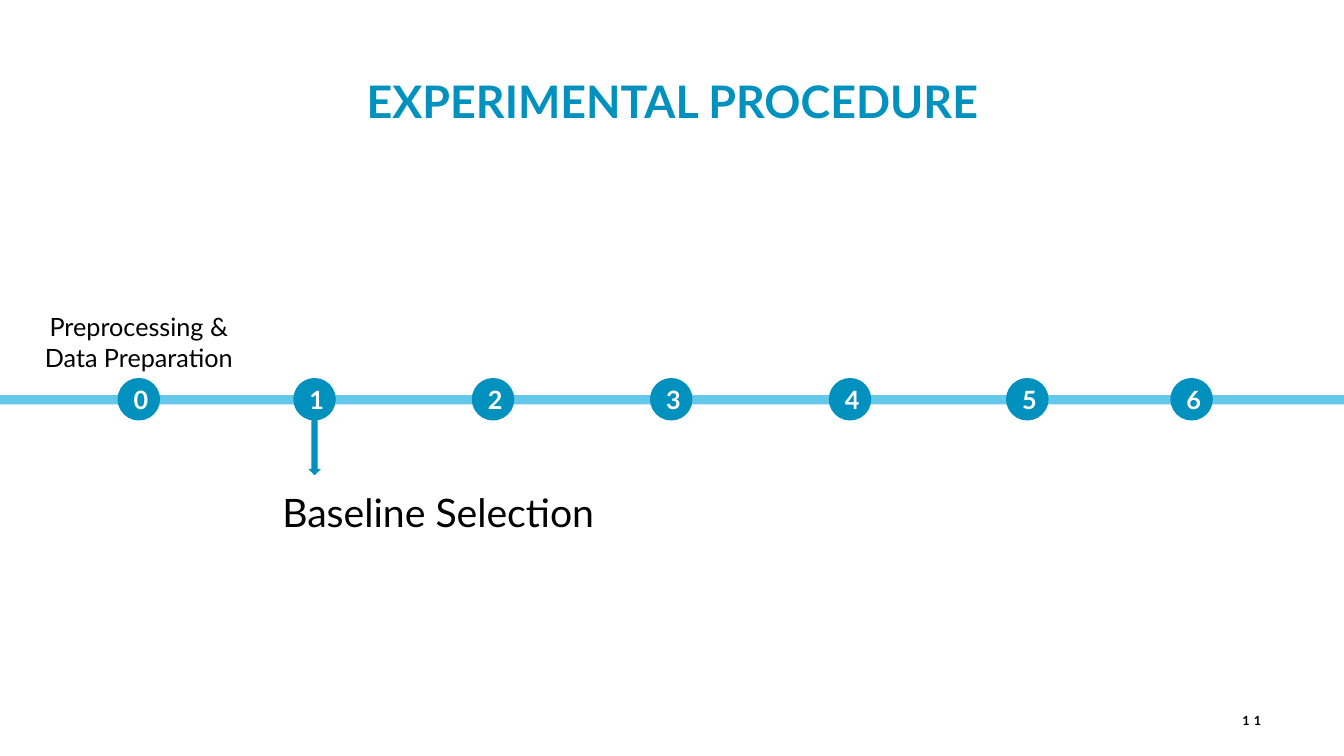
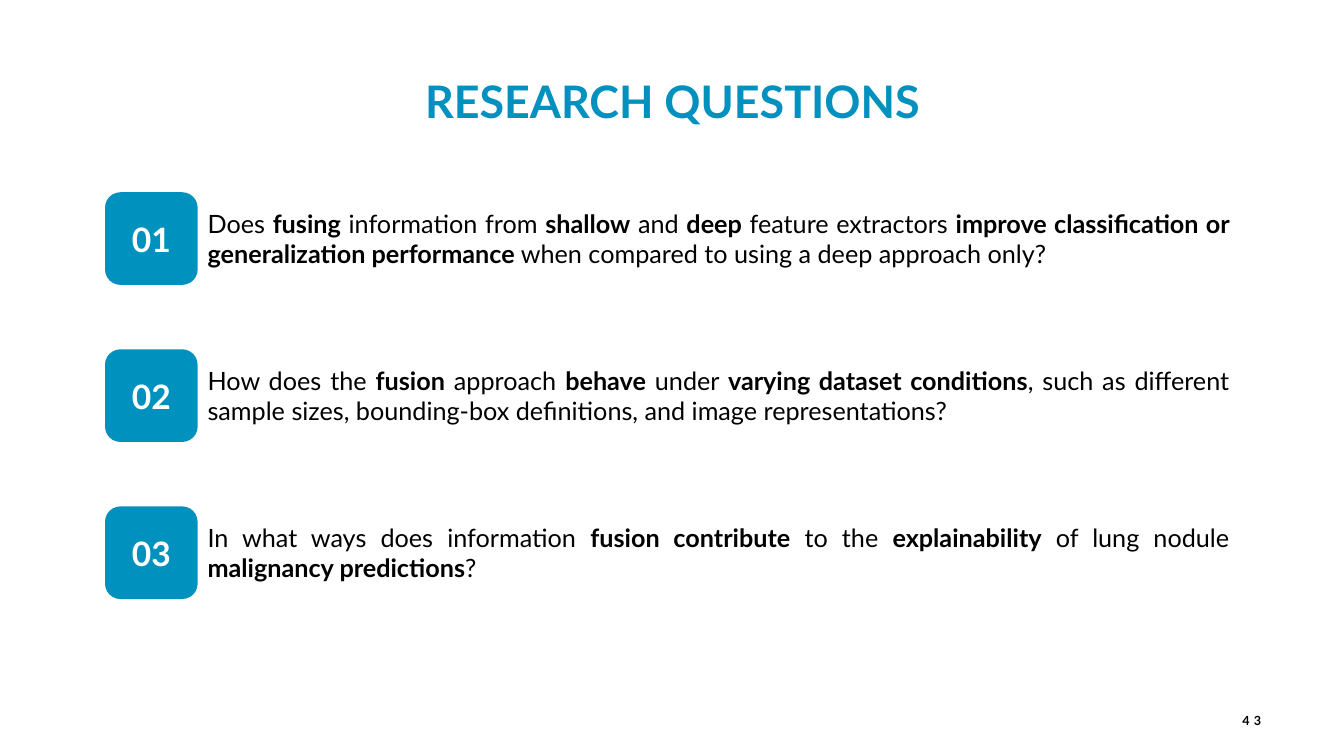
"""Build a timeline slide and a research-questions slide in one shared style."""
from dataclasses import dataclass

from pptx import Presentation
from pptx.dml.color import RGBColor
from pptx.enum.shapes import MSO_SHAPE
from pptx.enum.text import MSO_ANCHOR, MSO_AUTO_SIZE, PP_ALIGN
from pptx.presentation import Presentation as Deck
from pptx.shapes.autoshape import Shape
from pptx.slide import Slide
from pptx.util import Pt

COLORS = {"accent": "0091BE", "track": "64C8EB", "text": "000000", "on_accent": "FFFFFF"}
FONT = "Lato"
TITLE_ONLY = 5
EMPHASIS = "*"


@dataclass(frozen=True)
class Box:
    left: float
    top: float
    width: float
    height: float


@dataclass(frozen=True)
class TextStyle:
    size: float
    color: str = "text"
    bold: bool = False
    align: PP_ALIGN = PP_ALIGN.CENTER
    anchor: MSO_ANCHOR = MSO_ANCHOR.TOP
    spacing: int = 0


@dataclass(frozen=True)
class Label:
    text: str
    box: Box
    style: TextStyle


TITLE_BOX = Box(0, 49, 961, 46)
PAGE_BOX = Box(851, 500.4, 57, 28.8)
TITLE = TextStyle(32, "accent", True)
PAGE = TextStyle(9, bold=True, align=PP_ALIGN.RIGHT, anchor=MSO_ANCHOR.MIDDLE, spacing=300)
NODE = TextStyle(18, "on_accent", True, anchor=MSO_ANCHOR.MIDDLE)
TILE = TextStyle(24, "on_accent", True, anchor=MSO_ANCHOR.MIDDLE)
QUESTION = TextStyle(18, align=PP_ALIGN.JUSTIFY)

TRACK = Box(-3.5, 282.3, 967, 6.5)
NODE_SIZE = 30.4
NODE_TOP = 270
NODE_LEFTS = (84, 209.5, 337, 464.3, 592, 718.6, 836)
CURRENT_STEP = 1
ARROW_TOP, ARROW_WIDTH, ARROW_HEIGHT = 298, 9, 41.5
STAGES = (
    Label("Preprocessing & Data Preparation", Box(15.4, 219, 167.5, 51), TextStyle(18)),
    Label("Baseline Selection", Box(177, 345, 272, 41), TextStyle(28)),
)

TILE_LEFT, TILE_TOP, TILE_SIZE, TILE_STEP = 75, 137.3, 66.2, 112.2
QUESTION_WIDTH, QUESTION_HEIGHT = 744, 51
QUESTIONS = (
    "Does *fusing* information from *shallow* and *deep* feature extractors *improve "
    "classification or generalization performance* when compared to using a deep approach only?",
    "How does the *fusion* approach *behave* under *varying dataset conditions*, such as "
    "different sample sizes, bounding‐box definitions, and image representations?",
    "In what ways does information *fusion contribute* to the *explainability* of lung nodule "
    "*malignancy predictions*?",
)


def write(shape: Shape, text: str, style: TextStyle) -> None:
    """Fill a shape with one styled paragraph, bold between emphasis marks."""
    frame = shape.text_frame
    frame.word_wrap = True
    frame.auto_size = MSO_AUTO_SIZE.NONE
    frame.vertical_anchor = style.anchor
    paragraph = frame.paragraphs[0]
    paragraph.alignment = style.align
    for index, part in enumerate(text.split(EMPHASIS)):
        run = paragraph.add_run()
        run.text = part
        run.font.name = FONT
        run.font.size = Pt(style.size)
        run.font.bold = style.bold or index % 2 == 1
        run.font.color.rgb = RGBColor.from_string(COLORS[style.color])
        if style.spacing:
            run.font._element.set("spc", str(style.spacing))


def lengths(box: Box) -> tuple[Pt, Pt, Pt, Pt]:
    """Return the box's position and size as point lengths."""
    return Pt(box.left), Pt(box.top), Pt(box.width), Pt(box.height)


def add_label(slide: Slide, label: Label) -> None:
    """Add a text box."""
    write(slide.shapes.add_textbox(*lengths(label.box)), label.text, label.style)


def add_block(slide: Slide, kind: MSO_SHAPE, box: Box, color: str = "accent") -> Shape:
    """Add a flat filled shape without outline or shadow."""
    block = slide.shapes.add_shape(kind, *lengths(box))
    block.shadow.inherit = False
    block.fill.solid()
    block.fill.fore_color.rgb = RGBColor.from_string(COLORS[color])
    block.line.fill.background()
    return block


def add_slide(deck: Deck, heading: str, page: int) -> Slide:
    """Add a slide with its title and page number."""
    slide = deck.slides.add_slide(deck.slide_layouts[TITLE_ONLY])
    title = slide.shapes.title
    title.left, title.top, title.width, title.height = lengths(TITLE_BOX)
    write(title, heading, TITLE)
    add_label(slide, Label(str(page), PAGE_BOX, PAGE))
    return slide


def add_timeline(deck: Deck) -> None:
    """Add the experimental procedure timeline."""
    slide = add_slide(deck, "EXPERIMENTAL PROCEDURE", 11)
    for stage in STAGES:
        add_label(slide, stage)
    add_block(slide, MSO_SHAPE.RECTANGLE, TRACK, "track")
    for step, left in enumerate(NODE_LEFTS):
        node = add_block(slide, MSO_SHAPE.OVAL, Box(left, NODE_TOP, NODE_SIZE, NODE_SIZE))
        write(node, str(step), NODE)
    arrow_left = NODE_LEFTS[CURRENT_STEP] + (NODE_SIZE - ARROW_WIDTH) / 2
    add_block(slide, MSO_SHAPE.DOWN_ARROW, Box(arrow_left, ARROW_TOP, ARROW_WIDTH, ARROW_HEIGHT))


def add_questions(deck: Deck) -> None:
    """Add the numbered research questions."""
    slide = add_slide(deck, "RESEARCH QUESTIONS", 43)
    for index, question in enumerate(QUESTIONS):
        top = TILE_TOP + index * TILE_STEP
        tile_box = Box(TILE_LEFT, top, TILE_SIZE, TILE_SIZE)
        write(add_block(slide, MSO_SHAPE.ROUNDED_RECTANGLE, tile_box), f"{index + 1:02}", TILE)
        question_top = top + (TILE_SIZE - QUESTION_HEIGHT) / 2
        question_box = Box(TILE_LEFT + TILE_SIZE, question_top, QUESTION_WIDTH, QUESTION_HEIGHT)
        add_label(slide, Label(question, question_box, QUESTION))


def main() -> None:
    """Build and save the presentation."""
    deck = Presentation()
    deck.slide_width, deck.slide_height = Pt(960), Pt(540)
    add_timeline(deck)
    add_questions(deck)
    deck.save("out.pptx")


if __name__ == "__main__":
    main()
